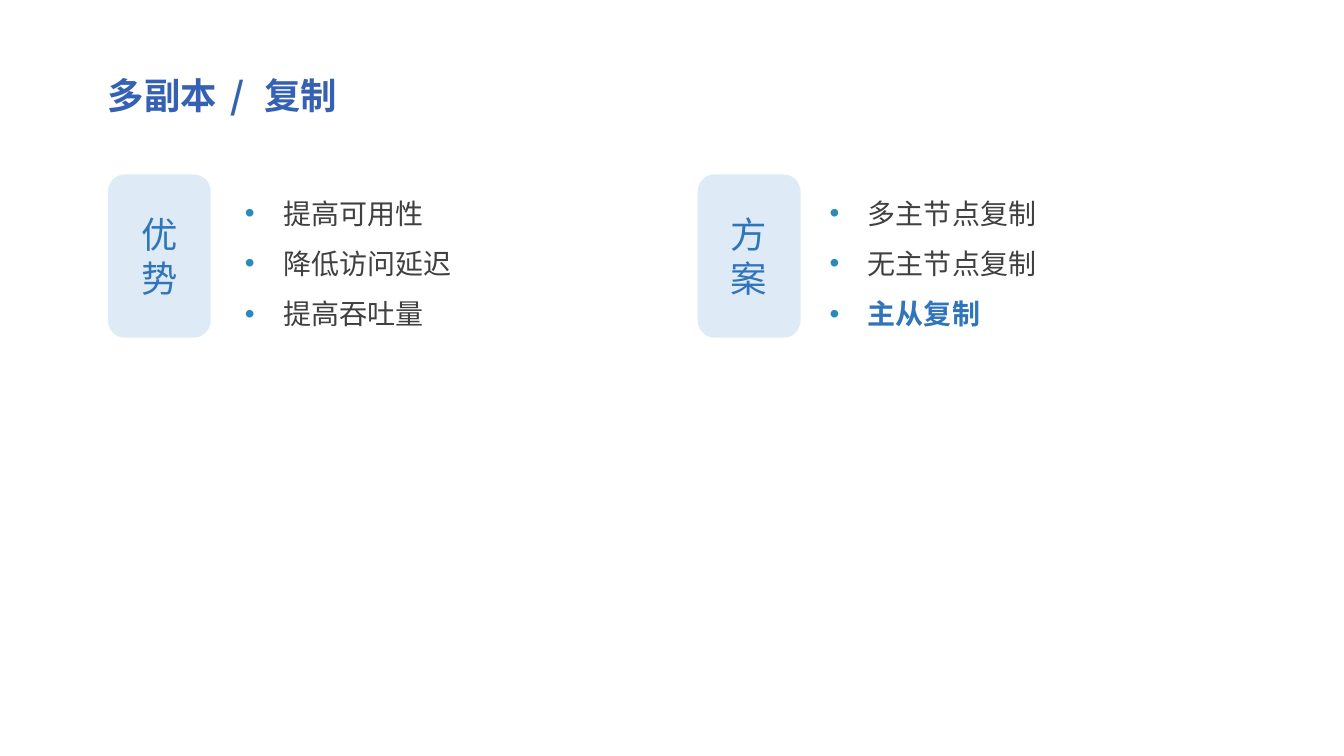
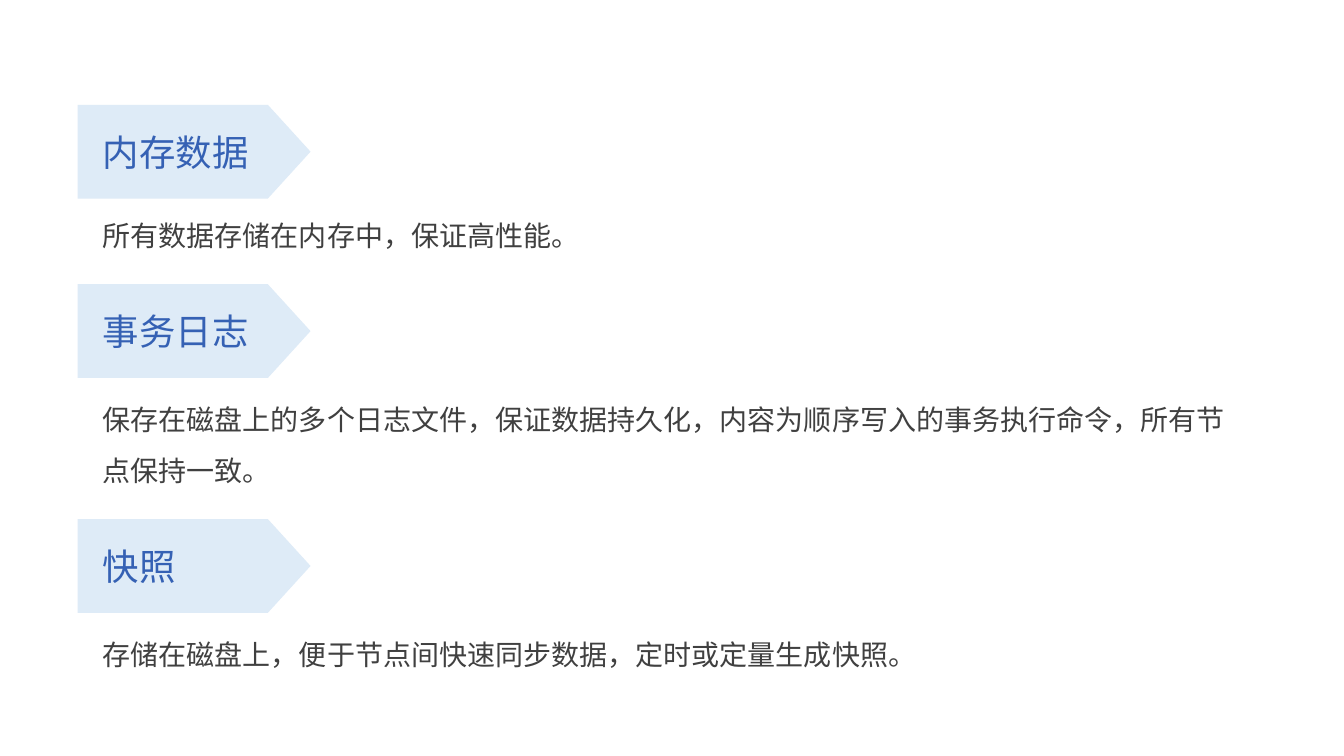
import lxml.etree
import pptx
import pptx.dml.color
import pptx.enum.shapes
import pptx.enum.text
import pptx.oxml.ns
import pptx.util

PX = 9144
FONT = "Noto Sans CJK SC"
HEADING_SIZE = 26
BODY_SIZE = 20
BODY_SPACING = 1.5

RGBColor = pptx.dml.color.RGBColor
WHITE = RGBColor(0xFF, 0xFF, 0xFF)
PALE_BLUE = RGBColor(0xDE, 0xEB, 0xF7)
HEADING_BLUE = RGBColor(0x35, 0x61, 0xB4)
ACCENT_BLUE = RGBColor(0x30, 0x75, 0xBA)
BULLET_BLUE = RGBColor(0x2A, 0x8A, 0xBA)
BODY_GREY = RGBColor(0x40, 0x40, 0x40)

MSO_SHAPE = pptx.enum.shapes.MSO_SHAPE
PP_ALIGN = pptx.enum.text.PP_ALIGN
MSO_ANCHOR = pptx.enum.text.MSO_ANCHOR
qn = pptx.oxml.ns.qn


def px(*lengths):
    return [pptx.util.Emu(length * PX) for length in lengths]


def add_page(deck):
    page = deck.slides.add_slide(deck.slide_layouts[6])
    page.background.fill.solid()
    page.background.fill.fore_color.rgb = WHITE
    return page


def style_span(span, size, color, bold=False):
    span.font.size = pptx.util.Pt(size)
    span.font.name = FONT
    span.font.bold = bold
    span.font.color.rgb = color
    latin = span.font._element.find(qn("a:latin"))
    east_asian = lxml.etree.Element(qn("a:ea"), typeface=FONT)
    latin.addnext(east_asian)


def style_text(frame, size, color, align=PP_ALIGN.LEFT):
    for para in frame.paragraphs:
        para.alignment = align
        for span in para.runs:
            style_span(span, size, color)


def add_box(page, left, top, width, height, text):
    box = page.shapes.add_textbox(*px(left, top, width, height))
    box.text_frame.word_wrap = True
    box.text_frame.text = text
    return box


def add_panel(page, kind, left, top, width, height, text):
    panel = page.shapes.add_shape(kind, *px(left, top, width, height))
    panel.shadow.inherit = False
    panel.fill.solid()
    panel.fill.fore_color.rgb = PALE_BLUE
    panel.line.fill.background()
    panel.text_frame.word_wrap = True
    panel.text_frame.vertical_anchor = MSO_ANCHOR.MIDDLE
    panel.text_frame.text = text
    return panel


def add_title(page, left_part, right_part):
    box = add_box(page, 97, 68, 1157, 54, "")
    para = box.text_frame.paragraphs[0]
    for text in (left_part, " / ", right_part):
        span = para.add_run()
        span.text = text
        style_span(span, HEADING_SIZE, HEADING_BLUE, bold=True)
    para.runs[1].font._element.set("spc", "400")


def add_bullet(para):
    properties = para._p.get_or_add_pPr()
    properties.set("marL", str(38 * PX))
    properties.set("indent", str(-38 * PX))
    bullet_color = lxml.etree.SubElement(properties, qn("a:buClr"))
    lxml.etree.SubElement(bullet_color, qn("a:srgbClr"), val=str(BULLET_BLUE))
    lxml.etree.SubElement(properties, qn("a:buFont"), typeface="Arial")
    lxml.etree.SubElement(properties, qn("a:buChar"), char="•")


def add_label(page, left, text):
    stacked = "\n".join(text)
    label = add_panel(page, MSO_SHAPE.ROUNDED_RECTANGLE, left, 173, 102, 162, stacked)
    style_text(label.text_frame, HEADING_SIZE, ACCENT_BLUE, PP_ALIGN.CENTER)


def add_list(page, left, items):
    box = add_box(page, left, 173, 344, 162, "\n".join(items))
    style_text(box.text_frame, BODY_SIZE, BODY_GREY)
    for para in box.text_frame.paragraphs:
        para.line_spacing = BODY_SPACING
        add_bullet(para)
    return box


def add_section(page, top, heading, body_top, body_height, body):
    arrow = add_panel(page, MSO_SHAPE.PENTAGON, 77, top, 231, 93, heading)
    arrow.adjustments[0] = 0.455
    arrow.text_frame.margin_left = px(25)[0]
    arrow.text_frame.margin_right = 0
    style_text(arrow.text_frame, HEADING_SIZE, HEADING_BLUE)

    box = add_box(page, 92, body_top, 1157, body_height, body)
    style_text(box.text_frame, BODY_SIZE, BODY_GREY)
    box.text_frame.paragraphs[0].line_spacing = BODY_SPACING


def build_replication(deck):
    page = add_page(deck)
    add_title(page, "多副本", "复制")
    add_label(page, 107, "优势")
    add_list(page, 233, ["提高可用性", "降低访问延迟", "提高吞吐量"])
    add_label(page, 692, "方案")
    schemes = add_list(page, 813, ["多主节点复制", "无主节点复制", "主从复制"])
    chosen = schemes.text_frame.paragraphs[-1].runs[0]
    chosen.font.bold = True
    chosen.font.color.rgb = ACCENT_BLUE


def build_storage(deck):
    page = add_page(deck)
    sections = [
        (104, "内存数据", 195, 55, "所有数据存储在内存中，保证高性能。"),
        (282, "事务日志", 378, 111,
         "保存在磁盘上的多个日志文件，保证数据持久化，"
         "内容为顺序写入的事务执行命令，所有节点保持一致。"),
        (515, "快照", 611, 55,
         "存储在磁盘上，便于节点间快速同步数据，定时或定量生成快照。"),
    ]
    for section in sections:
        add_section(page, *section)


def main():
    deck = pptx.Presentation()
    deck.slide_width, deck.slide_height = px(1333, 750)
    build_replication(deck)
    build_storage(deck)
    deck.save("out.pptx")


if __name__ == "__main__":
    main()
